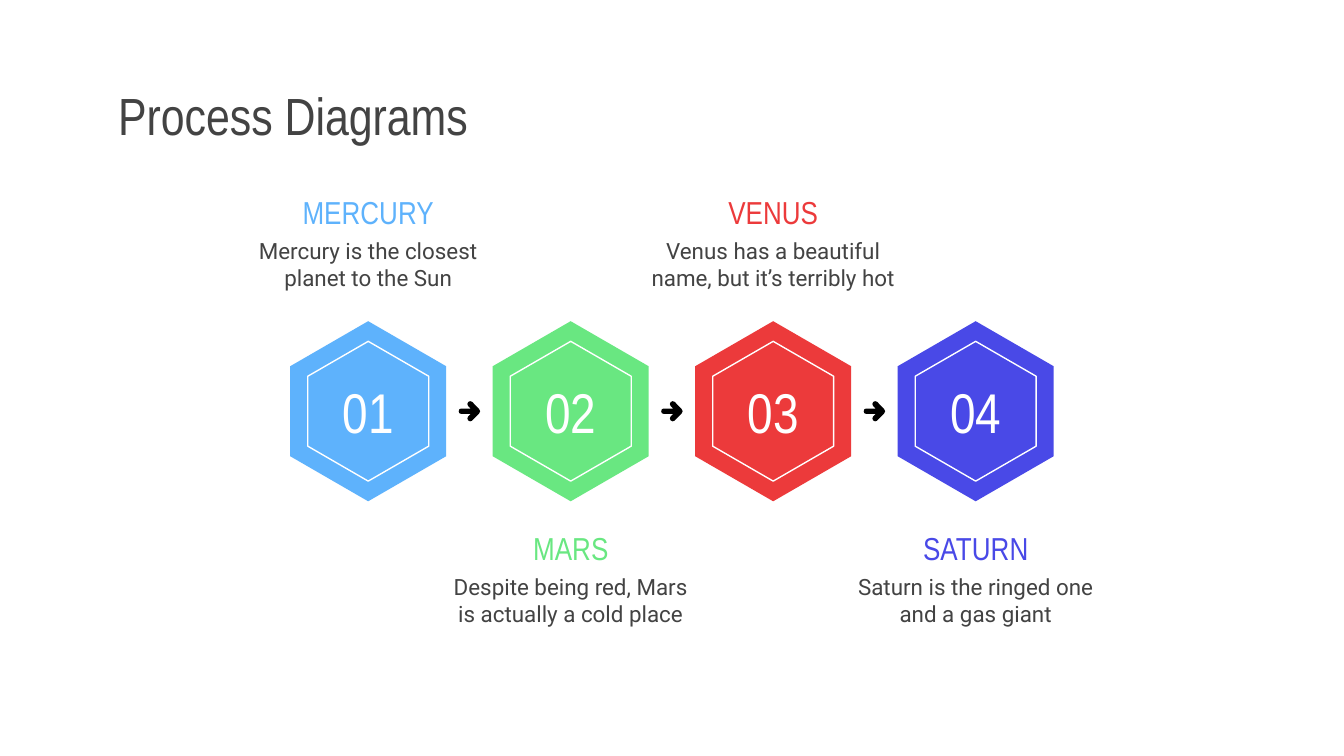
from pptx import Presentation
from pptx.dml.color import RGBColor
from pptx.enum.text import MSO_ANCHOR, PP_ALIGN
from pptx.util import Inches, Pt

CENTER, LEFT = PP_ALIGN.CENTER, PP_ALIGN.LEFT
MIDDLE = MSO_ANCHOR.MIDDLE

HEADING_FONT, BODY_FONT = "Arial Narrow", "Roboto"
COLORS = {
    "text": "434343", "white": "FFFFFF", "arrow": "000000",
    "mercury": "5EB2FC", "mars": "69E781", "venus": "EC3A3B", "saturn": "4949E7",
}

# Grid in inches: four columns, labels alternate above and below the row
FIRST_CENTER, LAST_CENTER, ROW_CENTER = 2.74, 7.26, 3.06
LABEL_TOPS = (1.26, 3.76)
DESCRIPTION_OFFSET = 0.39

STEPS = [
    ("mercury", "MERCURY", "Mercury is the closest planet to the Sun"),
    ("mars", "MARS", "Despite being red, Mars is actually a cold place"),
    ("venus", "VENUS", "Venus has a beautiful name, but it’s terribly hot"),
    ("saturn", "SATURN", "Saturn is the ringed one and a gas giant"),
]
PITCH = (LAST_CENTER - FIRST_CENTER) / (len(STEPS) - 1)

# Upper edge of the rounded arrow, thousandths of an inch from its centre
ARROW_EDGE = [(-80, 0), (-75, -15), (-60, -20), (10, -20), (-10, -40), (-15, -53),
              (-10, -68), (5, -75), (20, -70), (72, -17), (80, 0)]


def color(name):
    return RGBColor.from_string(COLORS[name])


def write_text(shape, text, size, font_name, color_name, alignment=CENTER):
    text_frame = shape.text_frame
    text_frame.text = text
    text_frame.word_wrap = True
    text_frame.vertical_anchor = MIDDLE
    text_frame.margin_left = text_frame.margin_right = Inches(0.1)
    text_frame.margin_top = text_frame.margin_bottom = Inches(0.1)
    paragraph = text_frame.paragraphs[0]
    paragraph.alignment = alignment
    font = paragraph.runs[0].font
    font.size, font.name = Pt(size), font_name
    font.color.rgb = color(color_name)


def add_text(slide, left, top, width, height, *style):
    box = slide.shapes.add_textbox(*map(Inches, (left, top, width, height)))
    write_text(box, *style)


def add_outline(slide, points, fill=None, line=None):
    points = [(Inches(x), Inches(y)) for x, y in points]
    builder = slide.shapes.build_freeform(*points[0], scale=1.0)
    builder.add_line_segments(points[1:], close=True)
    shape = builder.convert_to_shape()
    shape.shadow.inherit = False
    if fill:
        shape.fill.solid()
        shape.fill.fore_color.rgb = color(fill)
    else:
        shape.fill.background()
    if line:
        shape.line.color.rgb = color(line)
        shape.line.width = Pt(0.75)
    else:
        shape.line.fill.background()
    return shape


def add_hexagon(slide, center, width, height, **paint):
    x, y = width / 2, height / 2
    corners = [(0, -y), (-x, -y / 2), (-x, y / 2), (0, y), (x, y / 2), (x, -y / 2)]
    points = [(center + dx, ROW_CENTER + dy) for dx, dy in corners]
    return add_outline(slide, points, **paint)


def add_arrow(slide, center):
    lower_edge = [(x, -y) for x, y in reversed(ARROW_EDGE[1:-1])]
    points = [(center + x / 1000, ROW_CENTER + y / 1000)
              for x, y in ARROW_EDGE + lower_edge]
    add_outline(slide, points, fill="arrow")


def add_step(slide, index, color_name, name, description):
    center = FIRST_CENTER + index * PITCH
    top = LABEL_TOPS[index % 2]
    hexagon = add_hexagon(slide, center, 1.16, 1.34, fill=color_name)
    write_text(hexagon, f"{index + 1:02}", 30, HEADING_FONT, "white")
    add_text(slide, center - 0.96, top, 1.92, 0.63,
             name, 17, HEADING_FONT, color_name)
    add_text(slide, center - 1.02, top + DESCRIPTION_OFFSET, 2.04, 0.63,
             description, 12, BODY_FONT, "text")
    add_hexagon(slide, center, 0.9, 1.04, line="white")


def main():
    # Widescreen slide, 16:9
    presentation = Presentation()
    presentation.slide_width = Inches(10)
    presentation.slide_height = presentation.slide_width * 9 // 16
    slide = presentation.slides.add_slide(presentation.slide_layouts[6])

    # Title
    add_text(slide, 0.78, 0.59, 8.45, 0.53,
             "Process Diagrams", 28, HEADING_FONT, "text", LEFT)

    # Numbered steps
    for index, step in enumerate(STEPS):
        add_step(slide, index, *step)

    # Arrows halfway between neighbouring steps
    for index in range(len(STEPS) - 1):
        add_arrow(slide, FIRST_CENTER + (index + 0.5) * PITCH)

    presentation.save("out.pptx")


if __name__ == "__main__":
    main()
